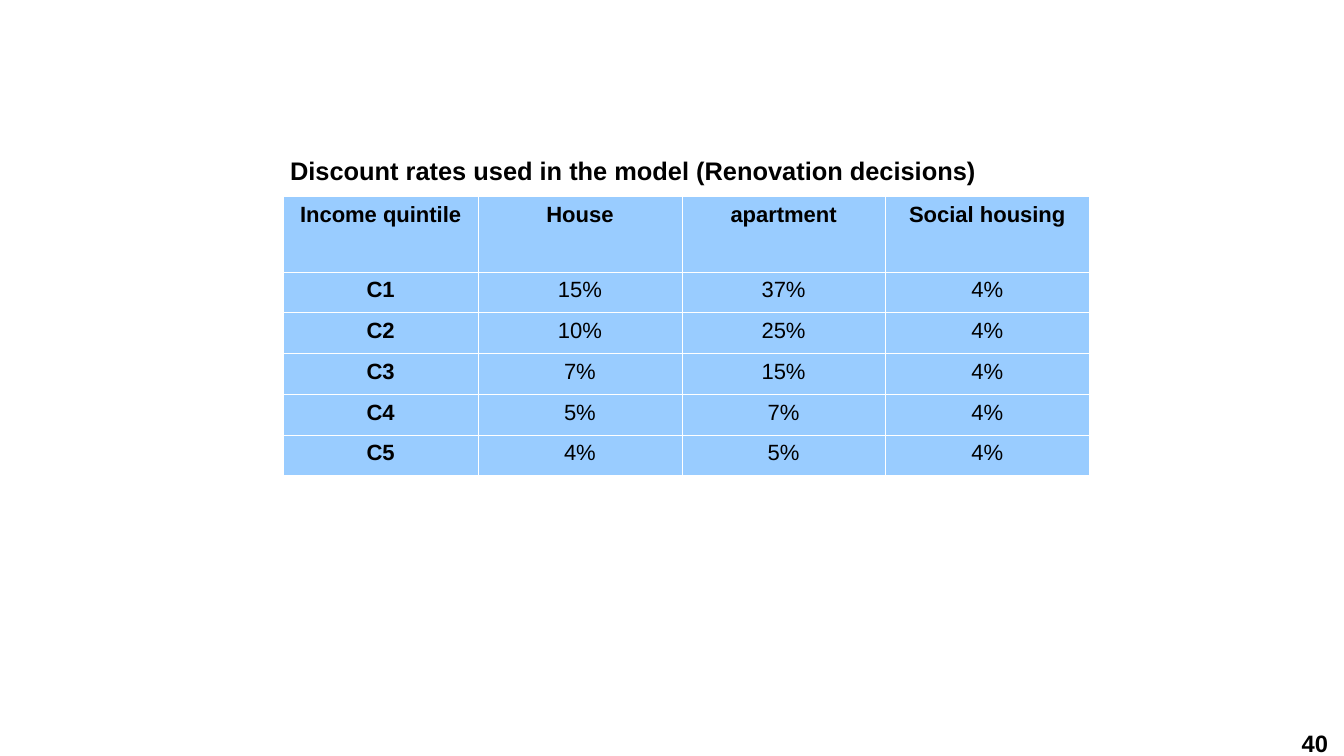
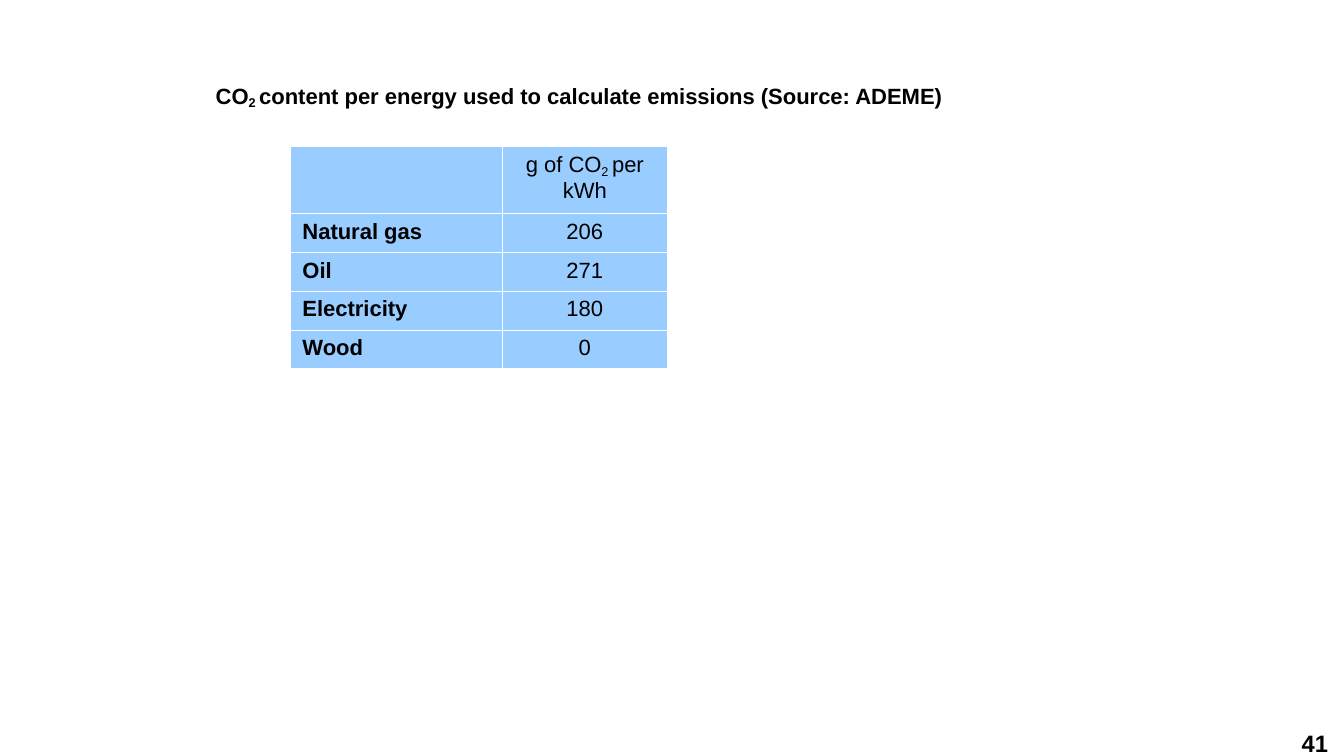
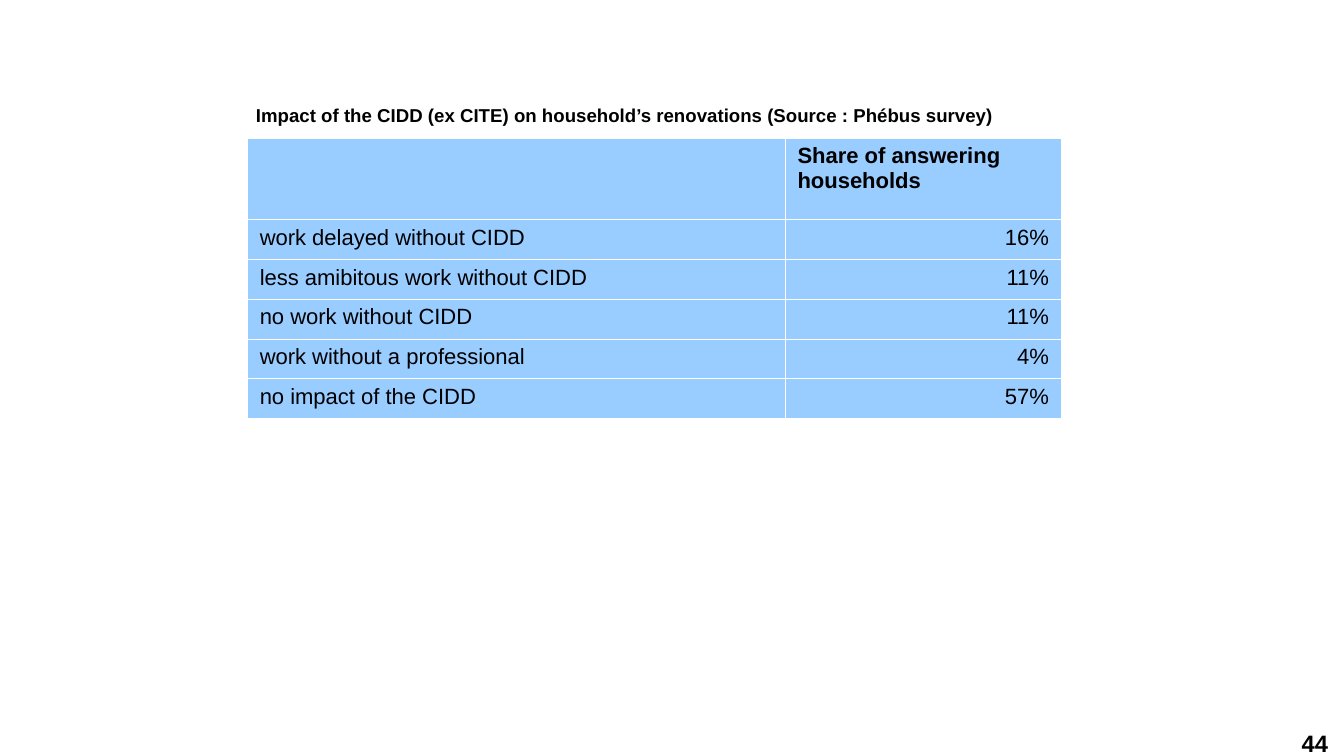
import dataclasses

import pptx
import pptx.dml.color
import pptx.enum.text
import pptx.oxml.xmlchemy
import pptx.util
from lxml import etree
from pptx.oxml.ns import qn

Inches = pptx.util.Inches
Pt = pptx.util.Pt
RGBColor = pptx.dml.color.RGBColor
Align = pptx.enum.text.PP_ALIGN

BLACK = RGBColor(0x00, 0x00, 0x00)
WHITE = RGBColor(0xFF, 0xFF, 0xFF)
CELL_BLUE = RGBColor(0x99, 0xCC, 0xFF)
FONT = "Arial"
BORDER_WIDTH = Pt(0.06)
BLANK_LAYOUT = 6


@dataclasses.dataclass(frozen=True)
class TextStyle:
    size: float = 13
    bold: bool = False
    align: Align = Align.LEFT
    spacing: float = 0


LABEL = TextStyle()
BOLD_LABEL = TextStyle(bold=True)
CENTERED = TextStyle(align=Align.CENTER)
BOLD_CENTERED = TextStyle(bold=True, align=Align.CENTER)
RIGHT = TextStyle(align=Align.RIGHT)
PAGE_NUMBER = TextStyle(size=14, bold=True, align=Align.RIGHT)


def write_paragraph(paragraph, content, style):
    """Write a string, or a list of (text, baseline percent) runs."""
    paragraph.alignment = style.align
    paragraph.space_before = paragraph.space_after = Pt(style.spacing)
    runs = [(content, 0)] if isinstance(content, str) else content
    for text, baseline in runs:
        run = paragraph.add_run()
        run.text = text
        run.font.name = FONT
        run.font.size = Pt(style.size)
        run.font.bold = style.bold
        run.font.color.rgb = BLACK
        if baseline:
            run.font._element.set("baseline", str(baseline * 1000))


def add_text(slide, left, top, width, height, content, style, inset=(0.1, 0.05)):
    box = slide.shapes.add_textbox(Inches(left), Inches(top), Inches(width), Inches(height))
    frame = box.text_frame
    frame.word_wrap = True
    frame.margin_left = frame.margin_right = Inches(inset[0])
    frame.margin_top = frame.margin_bottom = Inches(inset[1])
    write_paragraph(frame.paragraphs[0], content, style)


def style_cell(cell):
    properties = cell._tc.get_or_add_tcPr()
    for side in ("a:lnL", "a:lnR", "a:lnT", "a:lnB"):
        line = etree.SubElement(properties, qn(side), w=str(int(BORDER_WIDTH)))
        fill = etree.SubElement(line, qn("a:solidFill"))
        etree.SubElement(fill, qn("a:srgbClr"), val=str(WHITE))
    cell.fill.solid()
    cell.fill.fore_color.rgb = CELL_BLUE


def add_table(slide, left, top, column_widths, height, header_height, rows,
              header_style, column_styles):
    """Add a table whose body rows share the height left below the header."""
    shape = slide.shapes.add_table(
        len(rows), len(column_widths), Inches(left), Inches(top),
        Inches(sum(column_widths)), Inches(height))
    table = shape.table
    for column, width in zip(table.columns, column_widths):
        column.width = Inches(width)
    body_height = (height - header_height) / (len(rows) - 1)
    for row_index, contents in enumerate(rows):
        is_header = row_index == 0
        table.rows[row_index].height = Inches(header_height if is_header else body_height)
        for column_index, content in enumerate(contents):
            cell = table.cell(row_index, column_index)
            style_cell(cell)
            if not content:
                continue
            style = header_style if is_header else column_styles[column_index]
            paragraphs = content.split("\n") if isinstance(content, str) else [content]
            frame = cell.text_frame
            for index, text in enumerate(paragraphs):
                paragraph = frame.add_paragraph() if index else frame.paragraphs[0]
                write_paragraph(paragraph, text, style)


def add_numbered_slide(presentation, number):
    slide = presentation.slides.add_slide(presentation.slide_layouts[BLANK_LAYOUT])
    slide.background.fill.solid()
    slide.background.fill.fore_color.rgb = WHITE
    add_text(slide, 9.89, 5.98, 1, 0.22, str(number), PAGE_NUMBER, inset=(0, 0))
    return slide


def add_discount_rates(presentation):
    slide = add_numbered_slide(presentation, 40)
    rows = [
        ("Income quintile", "House", "apartment", "Social housing"),
        ("C1", "15%", "37%", "4%"),
        ("C2", "10%", "25%", "4%"),
        ("C3", "7%", "15%", "4%"),
        ("C4", "5%", "7%", "4%"),
        ("C5", "4%", "5%", "4%"),
    ]
    add_table(slide, 2.32, 1.61, (1.6, 1.67, 1.67, 1.67), 2.29, 0.62, rows,
              BOLD_CENTERED, [BOLD_CENTERED] + [CENTERED] * 3)
    add_text(slide, 2.28, 1.22, 6.63, 0.66,
             "Discount rates used in the model (Renovation decisions)",
             TextStyle(size=15, bold=True))


def add_carbon_content(presentation):
    slide = add_numbered_slide(presentation, 41)
    rows = [
        ("", [("g of CO", 0), ("2 ", -18), ("per kWh", 0)]),
        ("Natural gas", "206"),
        ("Oil", "271"),
        ("Electricity", "180"),
        ("Wood", "0"),
    ]
    add_table(slide, 2.38, 1.2, (1.74, 1.35), 1.81, 0.54, rows,
              CENTERED, [BOLD_LABEL, CENTERED])
    title = [("CO", 0), ("2 ", -10),
             ("content per energy used to calculate emissions (Source: ADEME)", 0)]
    add_text(slide, 1.67, 0.63, 8.46, 0.31, title,
             TextStyle(bold=True, align=Align.JUSTIFY, spacing=1.6))


def add_tax_credit_impact(presentation):
    slide = add_numbered_slide(presentation, 44)
    rows = [
        ("", "Share of answering\nhouseholds"),
        ("work delayed without CIDD", "16%"),
        ("less amibitous work without CIDD", "11%"),
        ("no work without CIDD", "11%"),
        ("work without a professional", "4%"),
        ("no impact of the CIDD", "57%"),
    ]
    add_table(slide, 2.03, 1.13, (4.41, 2.26), 2.3, 0.67, rows,
              BOLD_LABEL, [LABEL, RIGHT])
    add_text(slide, 2, 0.8, 6.52, 0.46,
             "Impact of the CIDD (ex CITE) on household’s renovations (Source : Phébus survey)",
             TextStyle(size=11, bold=True, align=Align.JUSTIFY, spacing=1.6))


def main():
    presentation = pptx.Presentation()
    presentation.slide_width = Inches(11.02)
    presentation.slide_height = Inches(6.2)
    add_discount_rates(presentation)
    add_carbon_content(presentation)
    add_tax_credit_impact(presentation)
    presentation.save("out.pptx")


if __name__ == "__main__":
    main()
